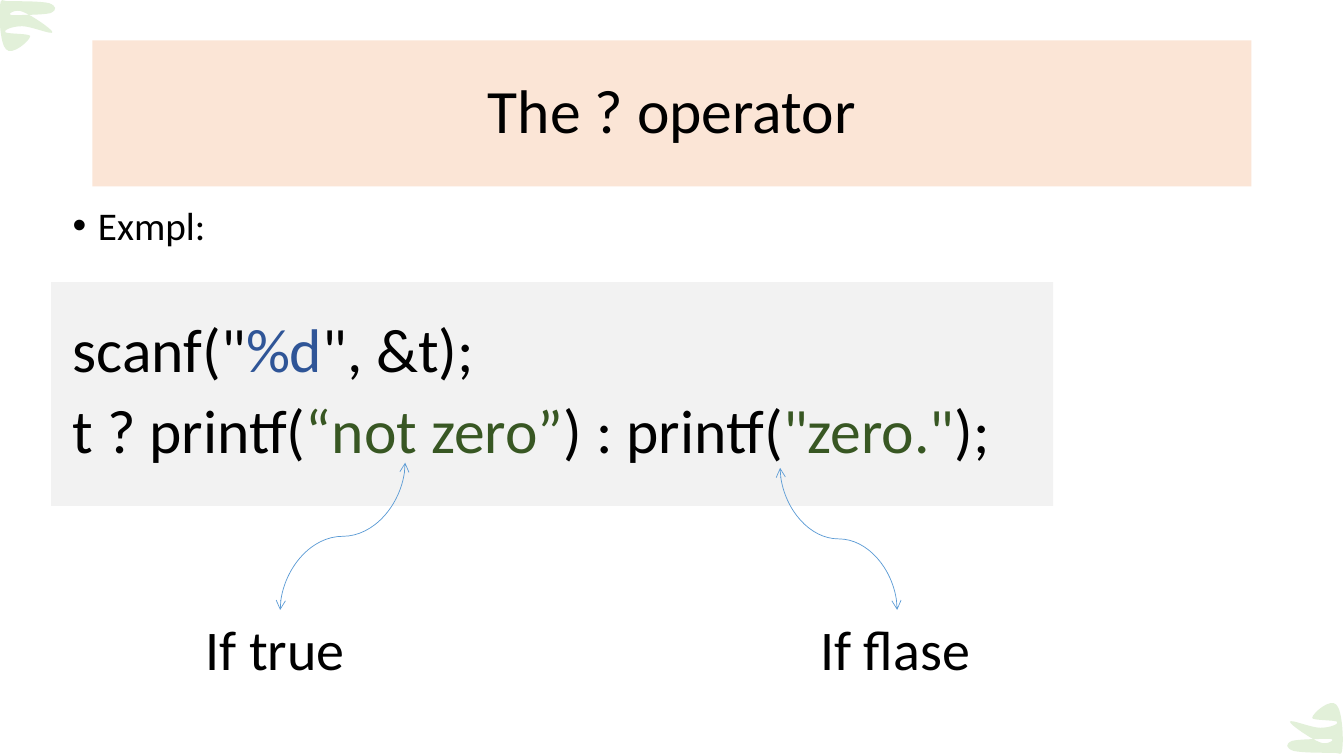
"""Build the slide on the ? operator in C."""
from dataclasses import dataclass
from typing import Any

from lxml.etree import SubElement as Sub
from pptx import Presentation
from pptx.dml.color import RGBColor as Rgb
from pptx.enum.shapes import MSO_CONNECTOR as Link, MSO_SHAPE as Form
from pptx.enum.text import MSO_ANCHOR as Anchor, PP_ALIGN as Align
from pptx.oxml.ns import qn
from pptx.util import Cm, Pt

HUE = {
    "ink": "000000", "peach": "FBE5D6", "grey": "F2F2F2", "blue": "2F5597",
    "green": "385723", "arrow": "5B9BD5", "leaf": "E2F0D9",
}
FONT = "Calibri"
WIDE, HIGH = 33.87, 19.05


@dataclass
class Box:
    left: float
    top: float
    width: float
    height: float


@dataclass
class Line:
    runs: list[tuple[str, str]]
    size: float
    before: float = 0
    bullet: bool = False


@dataclass
class Branch:
    label: str
    box: Box
    start: tuple[float, float]
    end: tuple[float, float]


@dataclass
class Corner:
    box: Box
    turn: float


TITLE = Box(2.33, 1.02, 29.21, 3.68)
PANEL = Box(1.29, 7.11, 25.25, 5.64)
BODY = Box(1.58, 5.08, 30.71, 12.09)
CODE = [
    Line([("Exmpl:", "ink")], 28, 10, True),
    Line([('scanf("', "ink"), ("%d", "blue"), ('", &t);', "ink")], 44, 50.4),
    Line([("t ? printf(", "ink"), ("“not zero”", "green"), (") : printf(", "ink"),
          ('"zero."', "green"), (");", "ink")], 44, 10),
]
BRANCHES = [
    Branch("If true", Box(4.93, 15.37, 4.14, 1.96), (10.21, 11.66), (7.06, 15.37)),
    Branch("If flase", Box(20.42, 15.37, 4.39, 1.96), (19.66, 11.79), (22.61, 15.37)),
]
CORNERS = [Corner(Box(32.43, 17.7, 1.4, 1.3), 0), Corner(Box(0, 0, 1.4, 1.3), 180)]
LEAF = [
    (1.4, 1.15),
    (1.43, 0.92), (1.4, 0.21), (1.25, 0.06), (1.1, -0.12), (0.64, 0.28), (0.64, 0.39),
    (0.64, 0.46), (1.22, 0.44), (1.27, 0.49), (1.32, 0.54), (1.1, 0.64), (0.84, 0.64),
    (0.61, 0.64), (0.08, 0.41), (0.08, 0.49), (0.08, 0.56), (0.61, 0.92), (0.82, 1),
    (1.02, 1.1), (1.25, 0.92), (1.12, 0.92), (0.99, 0.92), (0.33, 0.92), (0.13, 0.97),
    (-0.05, 1.05), (-0.02, 1.15), (0.16, 1.22), (0.36, 1.27), (0.87, 1.27), (1.12, 1.27),
    (1.37, 1.25), (1.37, 1.4), (1.4, 1.15),
]


def place(box: Box) -> list[Cm]:
    return [Cm(box.left), Cm(box.top), Cm(box.width), Cm(box.height)]


def paint(shape: Any, hue: str) -> None:
    shape.shadow.inherit = False
    shape.fill.solid()
    shape.fill.fore_color.rgb = Rgb.from_string(HUE[hue])
    shape.line.fill.background()


def panel(slide: Any, box: Box, hue: str) -> Any:
    shape = slide.shapes.add_shape(Form.RECTANGLE, *place(box))
    paint(shape, hue)
    return shape


def write(shape: Any, lines: list[Line], align: Any = Align.LEFT,
          anchor: Any = Anchor.TOP, space: float = 0.9) -> None:
    frame = shape.text_frame
    frame.word_wrap = True
    frame.vertical_anchor = anchor
    for i, line in enumerate(lines):
        para = frame.add_paragraph() if i else frame.paragraphs[0]
        para.alignment = align
        para.line_spacing = space
        para.space_before = Pt(line.before)
        if line.bullet:
            props = para._p.get_or_add_pPr()
            props.set("marL", str(Cm(0.64)))
            props.set("indent", str(Cm(-0.64)))
            Sub(props, qn("a:buFont"), typeface="Arial")
            Sub(props, qn("a:buChar"), char="•")
        for text, hue in line.runs:
            run = para.add_run()
            run.text = text
            run.font.name = FONT
            run.font.size = Pt(line.size)
            run.font.color.rgb = Rgb.from_string(HUE[hue])


def curve(slide: Any, start: tuple[float, float], end: tuple[float, float]) -> None:
    (x1, y1), (x2, y2) = start, end
    mid_x, mid_y = (x1 + x2) / 2, (y1 + y2) / 2
    run, rise = (y2 - y1) / 2, (x1 - x2) / 2
    link = slide.shapes.add_connector(
        Link.CURVE, Cm(mid_x - run), Cm(mid_y - rise), Cm(mid_x + run), Cm(mid_y + rise))
    link.line.color.rgb = Rgb.from_string(HUE["arrow"])
    link.line.width = Pt(0.5)
    props = link._element.spPr
    props.find(qn("a:xfrm")).set("rot", str(90 * 60000))
    stroke = link.line._get_or_add_ln()
    for tip in ("a:headEnd", "a:tailEnd"):
        Sub(stroke, qn(tip), type="arrow")
    Sub(props, qn("a:effectLst"))


def leaf(slide: Any, corner: Corner) -> None:
    dots = [(Cm(x), Cm(y)) for x, y in LEAF]
    pen = slide.shapes.build_freeform(*dots[0])
    pen.add_line_segments(dots[1:], close=True)
    shape = pen.convert_to_shape()
    trace = next(shape._element.iter(qn("a:path")))
    for spot in trace.iter(qn("a:pt")):
        spot.set("x", str(int(spot.get("x")) + shape.left))
        spot.set("y", str(int(spot.get("y")) + shape.top))
    legs = trace.findall(qn("a:lnTo"))
    for i in range(0, len(legs), 3):
        bend = Sub(trace, qn("a:cubicBezTo"))
        legs[i].addprevious(bend)
        for leg in legs[i:i + 3]:
            bend.append(leg[0])
            trace.remove(leg)
    shape.left, shape.top, shape.width, shape.height = place(corner.box)
    trace.set("w", str(shape.width))
    trace.set("h", str(shape.height))
    shape.rotation = corner.turn
    paint(shape, "leaf")


def main() -> None:
    deck = Presentation()
    deck.slide_width, deck.slide_height = Cm(WIDE), Cm(HIGH)
    slide = deck.slides.add_slide(deck.slide_layouts[6])
    panel(slide, PANEL, "grey")
    write(panel(slide, TITLE, "peach"), [Line([("The ? operator", "ink")], 44)],
          align=Align.CENTER, anchor=Anchor.MIDDLE)
    write(slide.shapes.add_textbox(*place(BODY)), CODE)
    for branch in BRANCHES:
        curve(slide, branch.start, branch.end)
        write(slide.shapes.add_textbox(*place(branch.box)),
              [Line([(branch.label, "ink")], 40)], space=1.0)
    for corner in CORNERS:
        leaf(slide, corner)
    deck.save("out.pptx")


if __name__ == "__main__":
    main()
